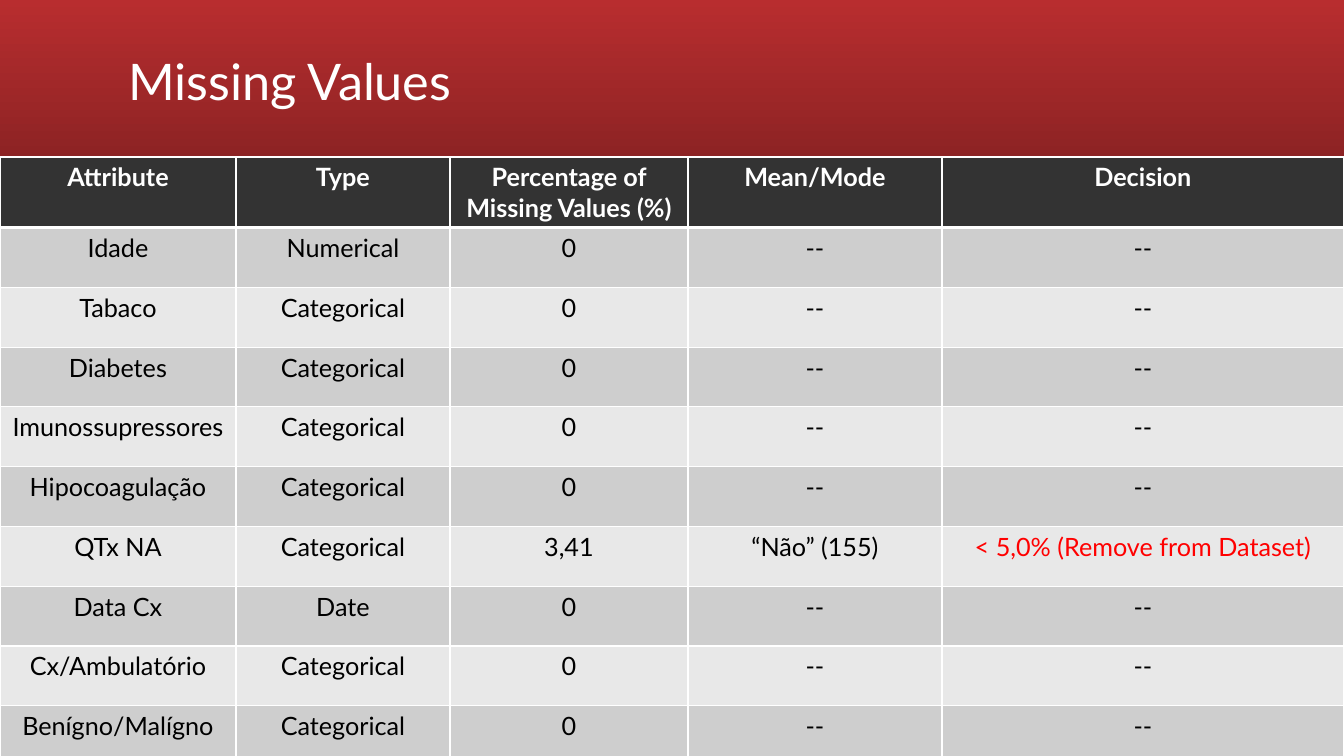
import pptx
import pptx.dml.color
import pptx.enum.shapes
import pptx.enum.text
import pptx.oxml
import pptx.oxml.ns
import pptx.util

SCALE = 9071.43
HUES = {
    "white": "FFFFFF", "black": "000000", "red": "FF0000",
    "head": "333333", "odd": "CECECE", "even": "E8E8E8",
    "top": "B82D2F", "base": "8A2223", "mist": "D9D9D9",
}
COLS = [236, 214, 238, 254, 402]
HEAD = ["Attribute", "Type", "Percentage of Missing Values (%)", "Mean/Mode", "Decision"]
KINDS = [
    ("Idade", "Numerical"), ("Tabaco", "Categorical"),
    ("Diabetes", "Categorical"), ("Imunossupressores", "Categorical"),
    ("Hipocoagulação", "Categorical"), ("QTx NA", "Categorical"),
    ("Data Cx", "Date"), ("Cx/Ambulatório", "Categorical"),
    ("Benígno/Malígno", "Categorical"),
]
GAPS = {"QTx NA": ("3,41", "“Não” (155)", "< 5,0% (Remove from Dataset)")}
NONE = ("0", "--", "--")


def px(num):
    return pptx.util.Emu(round(num * SCALE))


def hue(name):
    return pptx.dml.color.RGBColor.from_string(HUES[name])


class Deck:
    def __init__(self, wide, high):
        self.font = "Lato"
        self.file = pptx.Presentation()
        self.file.slide_width, self.file.slide_height = px(wide), px(high)
        self.slide = self.file.slides.add_slide(self.file.slide_layouts[5])

    def blend(self, fill, first, last, angle):
        fill.gradient()
        fill.gradient_angle = angle
        for stop, name in zip(fill.gradient_stops, (first, last)):
            stop.color.rgb = hue(name)

    def words(self, para, text, size, color, align, bold=False):
        para.alignment = align
        run = para.add_run()
        run.text = text
        run.font.name = self.font
        run.font.size = pptx.util.Pt(size)
        run.font.bold = bold
        run.font.color.rgb = hue(color)

    def title(self, text, *box):
        shape = self.slide.shapes.title
        shape.left, shape.top, shape.width, shape.height = map(px, box)
        frame = shape.text_frame
        frame.auto_size = pptx.enum.text.MSO_AUTO_SIZE.NONE
        frame.word_wrap = True
        frame.vertical_anchor = pptx.enum.text.MSO_ANCHOR.MIDDLE
        para = frame.paragraphs[0]
        para.line_spacing = 0.9
        self.words(para, text, 36, "white", pptx.enum.text.PP_ALIGN.LEFT)

    def band(self, first, last, *box):
        kind = pptx.enum.shapes.MSO_SHAPE.RECTANGLE
        shape = self.slide.shapes.add_shape(kind, *map(px, box))
        shape.shadow.inherit = False
        shape.line.fill.background()
        self.blend(shape.fill, first, last, 270)
        self.slide.shapes.title.element.addprevious(shape.element)

    def edge(self, cell, side, width):
        space = pptx.oxml.ns.nsdecls("a")
        line = pptx.oxml.parse_xml(
            f'<a:ln{side} {space} w="{pptx.util.Pt(width)}"><a:solidFill>'
            f'<a:srgbClr val="{HUES["white"]}"/></a:solidFill></a:ln{side}>')
        cell._tc.get_or_add_tcPr().append(line)

    def cell(self, cell, text, row):
        for side in "LRTB":
            thick = (row, side) in ((0, "B"), (1, "T"))
            self.edge(cell, side, 3 if thick else 1)
        cell.fill.solid()
        cell.fill.fore_color.rgb = hue("head" if row == 0 else "odd" if row % 2 else "even")
        color = "white" if row == 0 else "red" if text.startswith("<") else "black"
        self.words(cell.text_frame.paragraphs[0], text, 18, color,
                   pptx.enum.text.PP_ALIGN.CENTER, row == 0)

    def table(self, rows, cols, left, top, high):
        grid = self.slide.shapes.add_table(
            len(rows), len(cols), px(left), px(top), px(sum(cols)), px(high)).table
        for col, wide in zip(grid.columns, cols):
            col.width = px(wide)
        for row, texts in enumerate(rows):
            for col, text in enumerate(texts):
                self.cell(grid.cell(row, col), text, row)


deck = Deck(1344, 756)
deck.blend(deck.slide.background.fill, "mist", "white", 90)
deck.band("top", "base", 0, 0, 1344, 168)
deck.title("Missing Values", 118, 11, 1109, 146)
body = [kind + GAPS.get(kind[0], NONE) for kind in KINDS]
deck.table([HEAD] + body, COLS, 0, 157, 598)
deck.file.save("out.pptx")
